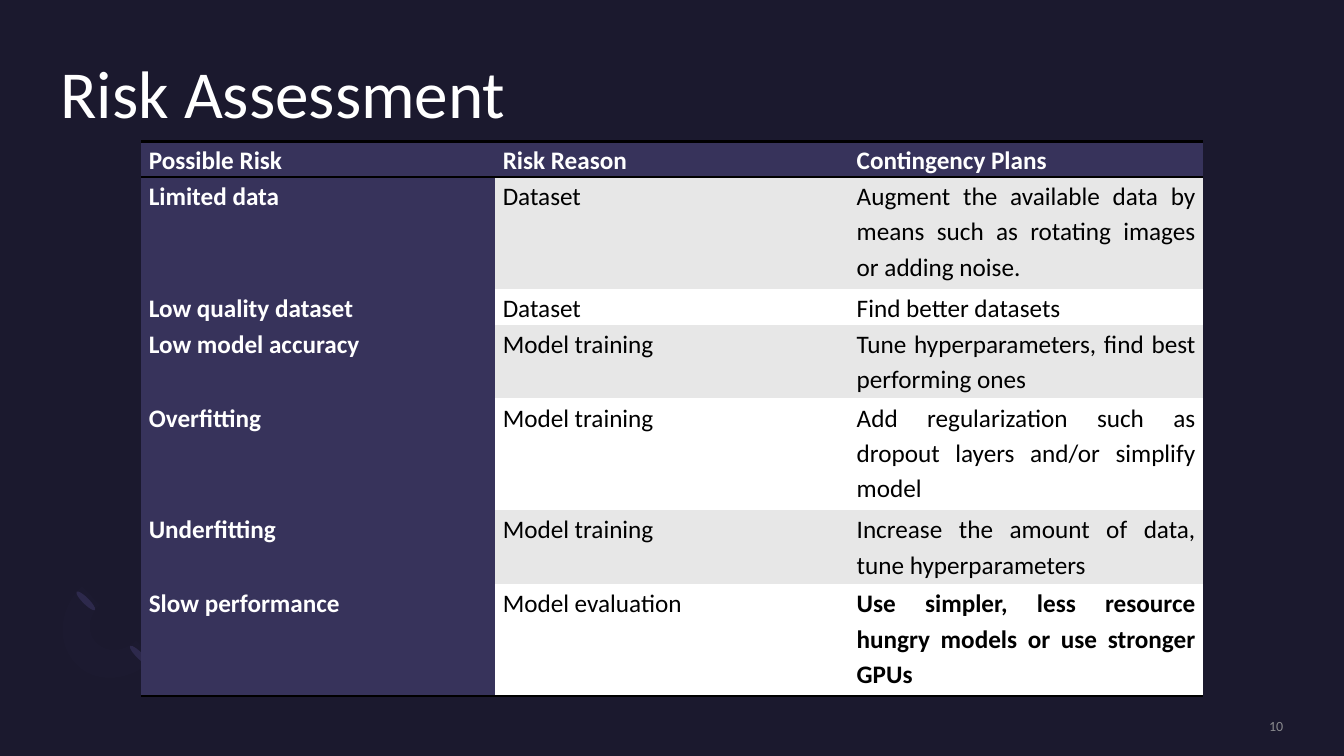
from lxml import etree
from pptx import Presentation
from pptx import util as u
from pptx.dml.color import RGBColor
from pptx.enum import shapes, text
from pptx.oxml.ns import qn

FONT = "Calibri"
COLORS = {
    "background": "1B192E", "header": "37335B", "band": "E7E7E7", "white": "FFFFFF",
    "black": "000000", "number": "8A8A8E", "petal": "2C284A", "arc": "7771B2",
}
TITLE = "Risk Assessment"
SLIDE_NUMBER = "10"
RISKS = [
    ("Possible Risk", "Risk Reason", "Contingency Plans"),
    ("Limited data", "Dataset",
     "Augment the available data by means such as rotating images or adding noise."),
    ("Low quality dataset", "Dataset", "Find better datasets"),
    ("Low model accuracy", "Model training",
     "Tune hyperparameters, find best performing ones"),
    ("Overfitting", "Model training",
     "Add regularization such as dropout layers and/or simplify model"),
    ("Underfitting", "Model training", "Increase the amount of data, tune hyperparameters"),
    ("Slow performance", "Model evaluation",
     "Use simpler, less resource hungry models or use stronger GPUs"),
]
LINES_PER_ROW = [1, 3, 1, 2, 3, 2, 3]
ROW_HEIGHT = {1: 0.9, 2: 1.86, 3: 2.82}
COLUMN_WIDTH = 8.92
NO_STYLE = "{2D5ABB26-0587-4C30-8999-92F81FD0307C}"

# Cm: left and top of each petal; the arc is a chain of cubic curves
PETALS = [(3.43, 16.18), (2.08, 14.81)]
OUTER_ARC = [[(3.86, 16.61), (3.3, 17.17), (2.41, 17.25), (1.93, 16.74)],
             [(1.93, 16.74), (1.42, 16.23), (1.47, 15.37), (2.06, 14.78)]]
INNER_ARC = [[(2.51, 15.24), (2.21, 15.52), (2.18, 15.98), (2.44, 16.21)],
             [(2.44, 16.21), (2.69, 16.46), (3.12, 16.43), (3.43, 16.15)]]


def rgb(name):
    return RGBColor.from_string(COLORS[name])


def paint(shape, color):
    shape.shadow.inherit = False
    shape.fill.solid()
    shape.fill.fore_color.rgb = rgb(color)
    shape.line.fill.background()


def curve_points(curve, steps=12):
    """Sample a cubic curve given by its four control points."""
    for step in range(steps + 1):
        t = step / steps
        weights = ((1 - t) ** 3, 3 * t * (1 - t) ** 2, 3 * t * t * (1 - t), t ** 3)
        yield tuple(u.Cm(sum(w * point[axis] for w, point in zip(weights, curve)))
                    for axis in (0, 1))


def add_decoration(slide):
    for left, top in PETALS:
        petal = slide.shapes.add_shape(shapes.MSO_SHAPE.OVAL, u.Cm(left), u.Cm(top),
                                       u.Cm(0.16), u.Cm(0.66))
        petal.rotation = 135
        paint(petal, "petal")
    points = [point for curve in OUTER_ARC + INNER_ARC for point in curve_points(curve)]
    builder = slide.shapes.build_freeform(*points[0], scale=1.0)
    builder.add_line_segments(points[1:], close=True)
    arc = builder.convert_to_shape()
    paint(arc, "arc")
    color = arc.fill._xPr.find(qn("a:solidFill"))[0]
    etree.SubElement(color, qn("a:alpha"), val="2000")


def add_text(slide, box, content, size, color, align, anchor, spacing=1.0):
    shape = slide.shapes.add_textbox(*(u.Cm(length) for length in box))
    frame = shape.text_frame
    frame.word_wrap = True
    frame.vertical_anchor = anchor
    frame.margin_left = frame.margin_right = frame.margin_top = frame.margin_bottom = 0
    paragraph = frame.paragraphs[0]
    paragraph.text = content
    paragraph.alignment = align
    paragraph.line_spacing = spacing
    style_font(paragraph.font, size, color)


def style_font(font, size, color, bold=False):
    font.name = FONT
    font.size = u.Pt(size)
    font.bold = bold
    font.color.rgb = rgb(color)


def add_border(cell, side):
    border = etree.SubElement(cell._tc.get_or_add_tcPr(), qn(f"a:{side}"), w=str(u.Pt(2)))
    fill = etree.SubElement(border, qn("a:solidFill"))
    etree.SubElement(fill, qn("a:srgbClr"), val=COLORS["black"])


def fill_cell(cell, content, row, column):
    last_row = len(RISKS) - 1
    heading = row == 0 or column == 0
    if row == 0:
        add_border(cell, "lnT")
    if row in (0, last_row):
        add_border(cell, "lnB")
    cell.fill.solid()
    cell.fill.fore_color.rgb = rgb("header" if heading else "band" if row % 2 else "white")
    cell.margin_left = cell.margin_right = u.Cm(0.19)
    cell.margin_top = cell.margin_bottom = 0
    paragraph = cell.text_frame.paragraphs[0]
    paragraph.text = content
    paragraph.alignment = text.PP_ALIGN.JUSTIFY
    paragraph.line_spacing = 1.15
    paragraph.space_after = u.Pt(10)
    bold = heading or (row, column) == (last_row, 2)
    style_font(paragraph.font, 18, "white" if heading else "black", bold)


def add_risk_table(slide):
    heights = [u.Cm(ROW_HEIGHT[lines]) for lines in LINES_PER_ROW]
    columns = len(RISKS[0])
    table = slide.shapes.add_table(len(RISKS), columns, u.Cm(3.56), u.Cm(3.56),
                                   u.Cm(COLUMN_WIDTH * columns), sum(heights)).table
    table.first_row = table.horz_banding = False
    table._tbl.tblPr.find(qn("a:tableStyleId")).text = NO_STYLE
    for column in table.columns:
        column.width = u.Cm(COLUMN_WIDTH)
    for row, (height, values) in enumerate(zip(heights, RISKS)):
        table.rows[row].height = height
        for column, value in enumerate(values):
            fill_cell(table.cell(row, column), value, row, column)


def main():
    presentation = Presentation()
    presentation.slide_width, presentation.slide_height = u.Cm(33.87), u.Cm(19.05)
    slide = presentation.slides.add_slide(presentation.slide_layouts[6])
    slide.background.fill.solid()
    slide.background.fill.fore_color.rgb = rgb("background")
    add_decoration(slide)
    add_text(slide, (1.52, 1.52, 30.81, 3.71), TITLE, 48, "white",
             text.PP_ALIGN.LEFT, text.MSO_ANCHOR.TOP, 0.9)
    add_text(slide, (27.64, 18.08, 4.7, 0.43), SLIDE_NUMBER, 10, "number",
             text.PP_ALIGN.RIGHT, text.MSO_ANCHOR.MIDDLE)
    add_risk_table(slide)
    presentation.save("out.pptx")


if __name__ == "__main__":
    main()
